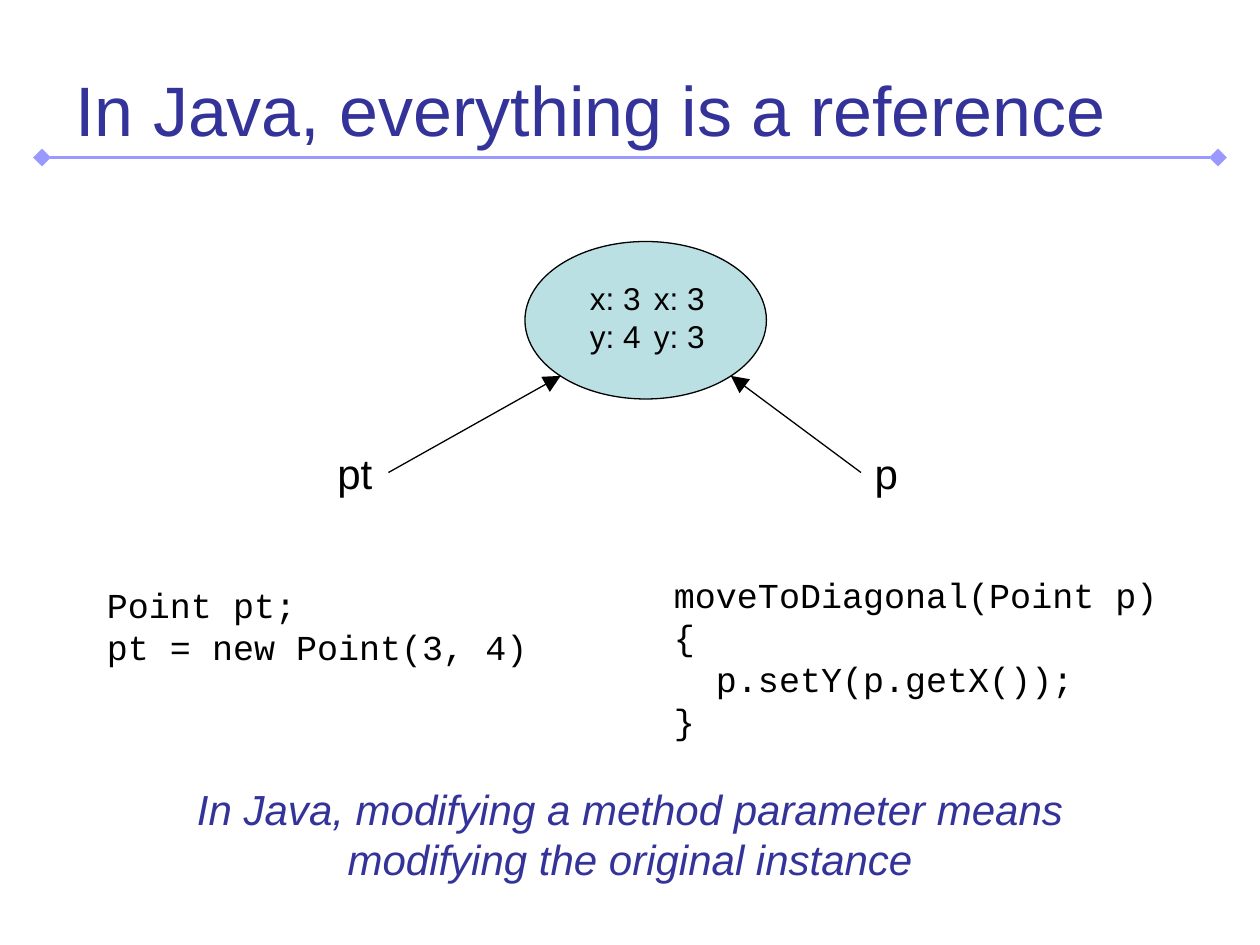
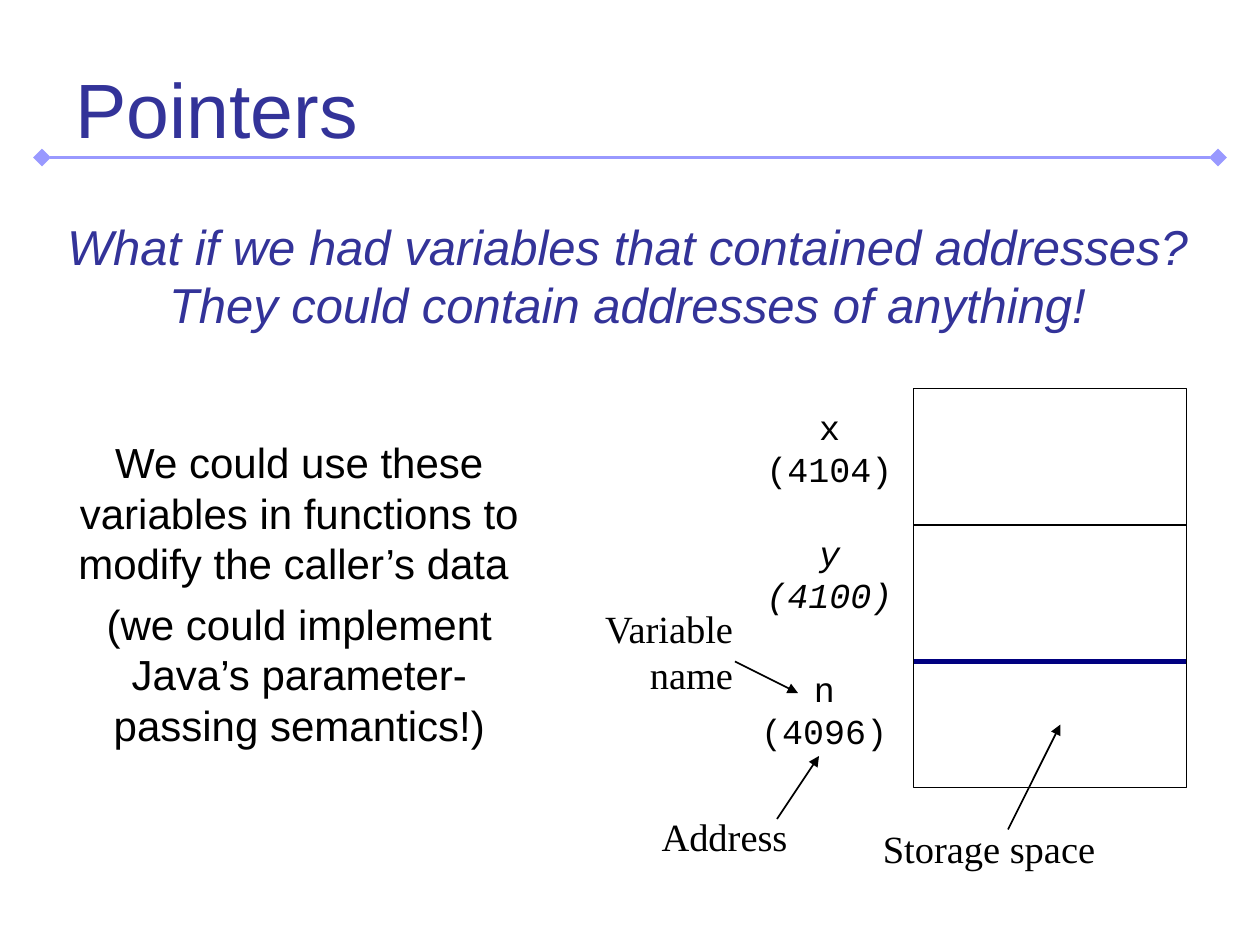
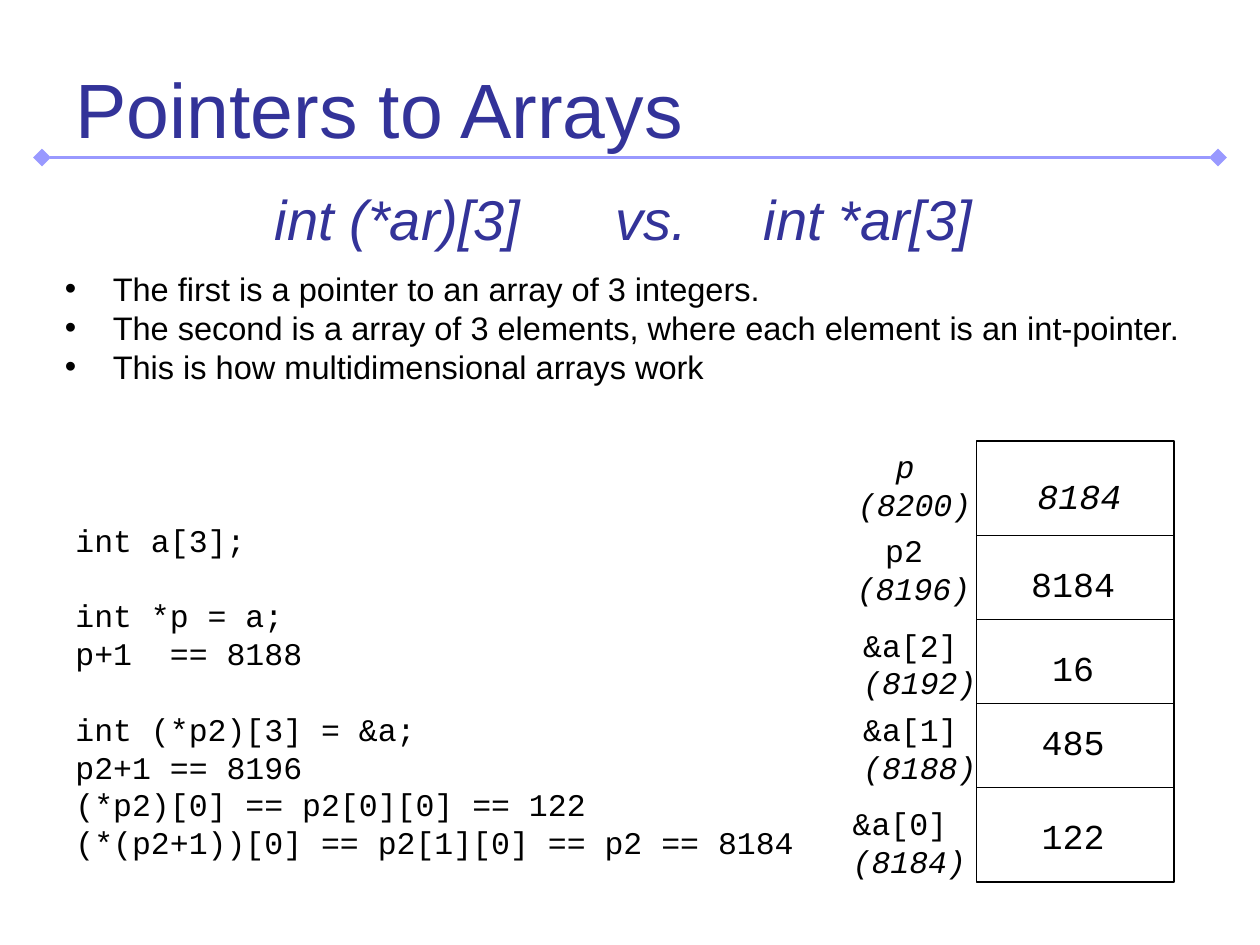
import pptx
import pptx.util
import pptx.dml.color
import pptx.enum.shapes
import pptx.enum.text
import pptx.oxml.ns
import lxml.etree

RGB = pptx.dml.color.RGBColor
INK = RGB(0, 0, 0)
BLUE = RGB(0x33, 0x33, 0x99)
RULE = RGB(0x99, 0x99, 0xFF)
NAVY = RGB(0, 0, 0x80)
TEAL = RGB(0xBB, 0xE0, 0xE3)
WHITE = RGB(0xFF, 0xFF, 0xFF)

WIDE, HIGH = pptx.util.Inches(10), pptx.util.Inches(7.5)
COLS, ROWS = 120, 90
LEAD = 1.2

ALIGN = pptx.enum.text.PP_ALIGN
KIND = pptx.enum.shapes.MSO_SHAPE
SANS = {"name": "Arial", "color": INK, "italic": False}
MONO = {**SANS, "name": "Courier New"}
SERIF = {**SANS, "name": "Times New Roman"}
KEY = {**SANS, "color": BLUE, "italic": True}
HEAD = {**SANS, "color": BLUE}


def grid(*spots):
    """Turn alternating columns and rows into lengths."""
    steps = (WIDE / COLS, HIGH / ROWS)
    return [round(spot * steps[i % 2]) for i, spot in enumerate(spots)]


def node(parent, tag, **marks):
    """Add a drawing element with attributes to a parent."""
    item = lxml.etree.SubElement(parent, pptx.oxml.ns.qn("a:" + tag))
    for name, value in marks.items():
        item.set(name, str(value))
    return item


def style(run, look, size):
    """Give a run its font values."""
    for name, value in {**look, "size": pptx.util.Pt(size)}.items():
        if name == "color":
            run.font.color.rgb = value
        else:
            setattr(run.font, name, value)


def text(slide, at, lines, size, look=SANS, align=ALIGN.LEFT, gaps=None,
         bullet=False, tabs=(), middle=False):
    """Place paragraphs in a box, with gaps keyed by paragraph index."""
    box = slide.shapes.add_textbox(*grid(*at))
    frame = box.text_frame
    frame.word_wrap = True
    if middle:
        frame.vertical_anchor = pptx.enum.text.MSO_ANCHOR.MIDDLE
    for i, line in enumerate(lines):
        para = frame.add_paragraph() if i else frame.paragraphs[0]
        para.text = line
        props = para._p.get_or_add_pPr()
        if bullet:
            indent = pptx.util.Inches(0.38)
            props.set("marL", str(indent))
            props.set("indent", str(-indent))
            node(props, "buFont", typeface="Arial")
            node(props, "buChar", char="•")
        if tabs:
            stops = node(props, "tabLst")
            for stop in tabs:
                node(stops, "tab", pos=pptx.util.Inches(stop), algn="l")
        form = {"alignment": align, "line_spacing": pptx.util.Pt(size * LEAD),
                "space_before": pptx.util.Pt((gaps or {}).get(i, 0))}
        for name, value in form.items():
            setattr(para, name, value)
        for run in para.runs:
            style(run, look, size)
    return box


def label(slide, mid, top, line, size, look=MONO, wide=16):
    """Centre a short text on a column."""
    high = 9 if "\v" in line else 6
    return text(slide, (mid - wide / 2, top, wide, high), [line], size, look,
                ALIGN.CENTER)


def shape(slide, kind, at, fill, width):
    """Draw an outlined preset shape."""
    form = slide.shapes.add_shape(kind, *grid(*at))
    form.shadow.inherit = False
    if fill is None:
        form.fill.background()
    else:
        form.fill.solid()
        form.fill.fore_color.rgb = fill
    form.line.color.rgb = INK
    form.line.width = pptx.util.Pt(width)
    return form


def line(slide, ends, color=INK, width=1, head=None, tail=None, size="med"):
    """Draw a straight line with optional end marks."""
    link = slide.shapes.add_connector(
        pptx.enum.shapes.MSO_CONNECTOR.STRAIGHT, *grid(*ends))
    link.line.color.rgb = color
    link.line.width = pptx.util.Pt(width)
    stroke = link.line._get_or_add_ln()
    for tag, mark in (("headEnd", head), ("tailEnd", tail)):
        if mark:
            node(stroke, tag, type=mark, w=size, len=size)
    node(link._element.spPr, "effectLst")
    return link


def store(slide, at, cuts, fill=None):
    """Draw a memory block cut at the given rows."""
    shape(slide, KIND.RECTANGLE, at, fill, 1)
    for row, color, width in cuts:
        line(slide, (at[0], row, at[0] + at[2], row), color, width)


def page(deck, title, size):
    """Add a slide with its title and rule."""
    slide = deck.slides.add_slide(deck.slide_layouts[6])
    line(slide, (4, 15, 116, 15), RULE, 2, "diamond", "diamond", "lg")
    text(slide, (6, 3.6, 108, 13.4), [title], size, HEAD, middle=True)
    return slide


def refer(deck):
    """Show two names that refer to one object."""
    slide = page(deck, "In Java, everything is a reference", 40)
    text(slide, (9, 55, 44, 9), ["Point pt;", "pt = new Point(3, 4)"], 20, MONO)
    text(slide, (63, 54, 52, 17),
         ["moveToDiagonal(Point p) {", "  p.setY(p.getX());", "}"], 20, MONO)
    shape(slide, KIND.OVAL, (50, 23, 23, 15), TEAL, 0.75)
    for mid, state in ((58.6, "x: 3\vy: 4"), (64.7, "x: 3\vy: 3")):
        label(slide, mid, 26, state, 18, SANS, 9)
    for name, mid, wide, side, tip in (("pt", 33.8, 6.4, 3, 53.4),
                                       ("p", 84.4, 4.8, 1, 69.6)):
        box = label(slide, mid, 42, name, 24, SANS, wide)
        link = line(slide, (mid, 45, tip, 35.8), width=0.75, tail="triangle",
                    size="lg")
        link.begin_connect(box, side)
    text(slide, (10, 74, 100, 11),
         ["In Java, modifying a method parameter means modifying the original instance"],
         24, KEY, ALIGN.CENTER)


def point(deck):
    """Show variables, their addresses and storage."""
    slide = page(deck, "Pointers", 44)
    store(slide, (87, 37, 26, 38), [(63, NAVY, 2.5), (50, INK, 1)])
    for name, mid, top, slant in (("x\v(4104)", 79, 38, False),
                                  ("y\v(4100)", 79, 50, True),
                                  ("n\v(4096)", 78.5, 63, False)):
        label(slide, mid, top, name, 20, {**MONO, "italic": slant})
    for ends in ((96, 79, 101, 69), (74, 78, 78, 72), (70, 63, 76, 66)):
        line(slide, ends, tail="triangle")
    label(slide, 94.2, 78, "Storage space", 22, SERIF, 26)
    label(slide, 69, 76.8, "Address", 22, SERIF)
    text(slide, (54, 57, 17, 10), ["Variable name"], 22, SERIF, ALIGN.RIGHT)
    text(slide, (0, 20, 119.5, 12.5),
         ["What if we had variables that contained addresses?",
          "They could contain addresses of anything!"], 28, KEY, ALIGN.CENTER)
    text(slide, (6, 41, 45, 36),
         ["We could use these variables in functions to modify the caller’s data ",
          "(we could implement Java’s parameter-passing semantics!)"],
         24, SANS, ALIGN.CENTER, {1: 6})


def array(deck):
    """Show array pointers with code and a memory block."""
    slide = page(deck, "Pointers to Arrays", 44)
    text(slide, (25, 17, 85, 8), ["int (*ar)[3]\tvs.\tint *ar[3]"], 32, KEY,
         tabs=(2.7, 3.88))
    text(slide, (5, 25, 110, 17),
         ["The first is a pointer to an array of 3 integers.",
          "The second is a array of 3 elements, where each element is an int-pointer.",
          "This is how multidimensional arrays work"], 18.6, bullet=True)
    gap = 18 * LEAD
    text(slide, (6, 49, 72, 34),
         ["int a[3];", "int *p = a;", "p+1  == 8188", "int (*p2)[3] = &a;",
          "p2+1 == 8196", "(*p2)[0] == p2[0][0] == 122",
          "(*(p2+1))[0] == p2[1][0] == p2 == 8184"], 18, MONO,
         gaps={1: gap, 3: gap})
    store(slide, (93, 42, 18.8, 42),
          [(row, INK, 1) for row in (51, 59, 67, 75)], WHITE)
    cells = (("p \v(8200)", 87.1, 42, "8184", 102.8, 44.6, True),
             ("p2 \v(8196)", 87, 50, "8184", 102.2, 53, False),
             ("&a[2] \v(8192)", 87.6, 59, "16", 102.2, 61, False),
             ("&a[1] \v(8188)", 87.6, 67, "485", 102.2, 68, False),
             ("&a[0] \v(8184)", 86.6, 76, "122", 102.2, 77, False))
    for name, mid, top, value, center, row, slant in cells:
        look = {**MONO, "italic": slant}
        box = label(slide, mid, top, name, 18, look)
        box.text_frame.paragraphs[0].runs[-1].font.italic = True
        label(slide, center, row, value, 20, look)


def main():
    """Build and save the deck."""
    deck = pptx.Presentation()
    deck.slide_width, deck.slide_height = WIDE, HIGH
    for build in (refer, point, array):
        build(deck)
    deck.save("out.pptx")


if __name__ == "__main__":
    main()
